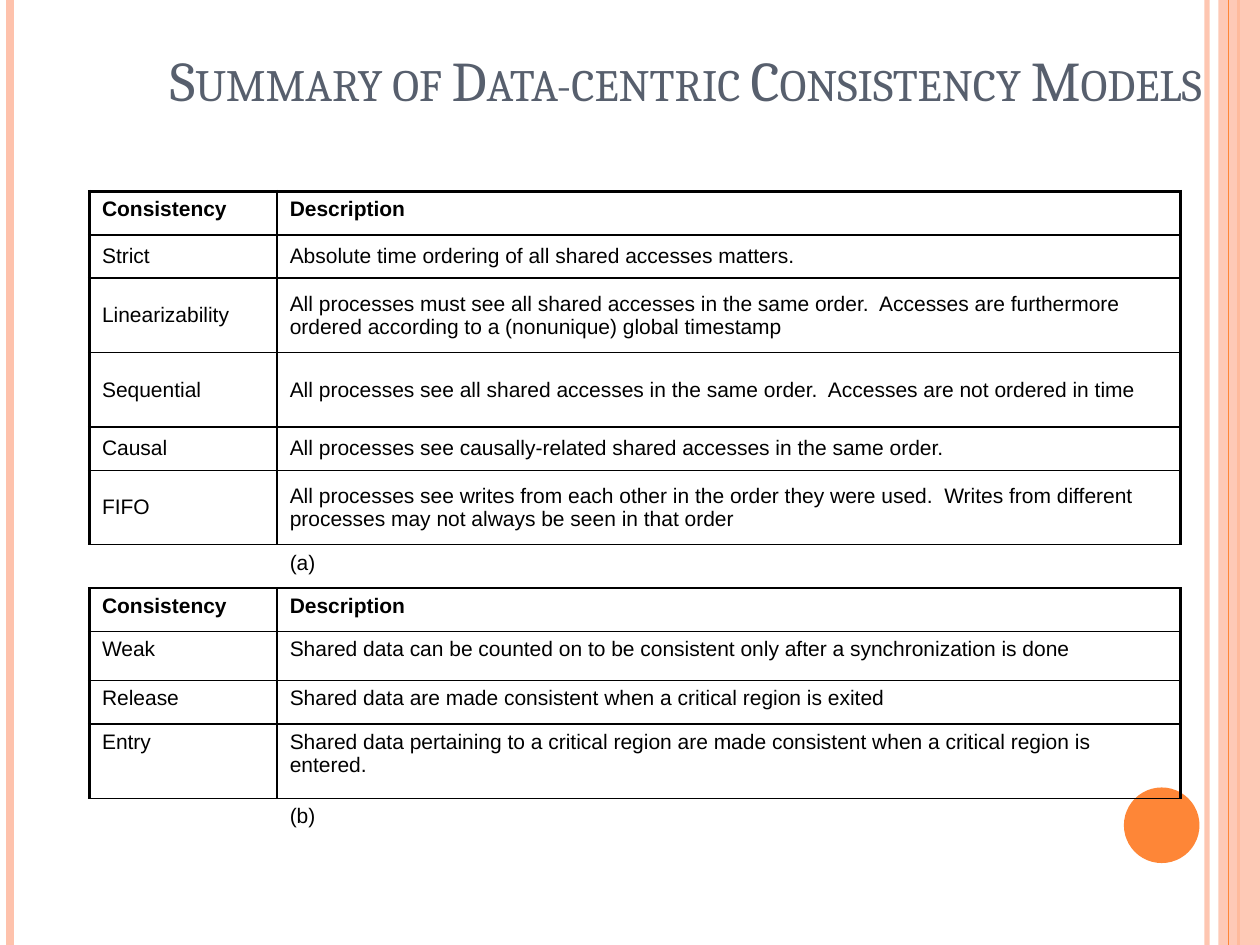
from typing import NamedTuple

from pptx import Presentation
from pptx.dml.color import RGBColor
from pptx.enum.shapes import MSO_CONNECTOR as CONN, MSO_SHAPE as SHAPE
from pptx.enum.text import MSO_ANCHOR as ANCHOR
from pptx.oxml.ns import qn
from pptx.util import Inches, Pt
from lxml.etree import SubElement

COLORS = {"peach": "FEC2AC", "orange": "FE8637", "slate": "575F6D", "ink": "000000"}
THIN, THICK = 1, 2.25
# Row heights in points
SHORT, MEDIUM, TALL = 24.8, 28.1, 42.5
PLAIN_STYLE = "{2D5ABB26-0587-4C30-8999-92F81FD0307C}"


class Stripe(NamedTuple):
    x: float
    color: str
    width: float
    opacity: int = 100


class Block(NamedTuple):
    caption: str
    anchor: ANCHOR
    models: list[tuple[str, str, float]]


class Row(NamedTuple):
    texts: tuple[str, str]
    height: float
    anchor: ANCHOR = ANCHOR.TOP
    bold: bool = False
    caption: bool = False


LEFT_STRIPES = [Stripe(9.58, "peach", 3, 93), Stripe(0.08, "peach", 4.5),
                Stripe(9.83, "orange", 1.5)]
EDGE_STRIPE = Stripe(9.75, "orange", 0.75)

BLOCKS = [
    Block("(a)", ANCHOR.MIDDLE, [
        ("Strict", "Absolute time ordering of all shared accesses matters.", SHORT),
        ("Linearizability", "All processes must see all shared accesses in the same order.  "
         "Accesses are furthermore ordered according to a (nonunique) global timestamp", TALL),
        ("Sequential", "All processes see all shared accesses in the same order.  "
         "Accesses are not ordered in time", TALL),
        ("Causal", "All processes see causally-related shared accesses in the same order.",
         SHORT),
        ("FIFO", "All processes see writes from each other in the order they were used.  "
         "Writes from different processes may not always be seen in that order", TALL),
    ]),
    Block("(b)", ANCHOR.TOP, [
        ("Weak", "Shared data can be counted on to be consistent only after a "
         "synchronization is done", MEDIUM),
        ("Release", "Shared data are made consistent when a critical region is exited", SHORT),
        ("Entry", "Shared data pertaining to a critical region are made consistent when a "
         "critical region is entered.", TALL),
    ]),
]


def rgb(name: str) -> RGBColor:
    return RGBColor.from_string(COLORS[name])


def set_opacity(props, percent: int) -> None:
    for color in props.iter(qn("a:srgbClr")):
        SubElement(color, qn("a:alpha"), val=str(percent * 1000))


def add_stripe(slide, stripe: Stripe) -> None:
    x = Inches(stripe.x)
    line = slide.shapes.add_connector(CONN.STRAIGHT, x, 0, x, prs.slide_height)
    line.line.color.rgb = rgb(stripe.color)
    line.line.width = Pt(stripe.width)
    props = line._element.spPr
    if stripe.opacity < 100:
        set_opacity(props, stripe.opacity)
    SubElement(props, qn("a:effectLst"))


def add_filled(slide, kind: SHAPE, box: tuple, color: str, opacity: int = 100) -> None:
    sp = slide.shapes.add_shape(kind, *map(Inches, box))
    sp.shadow.inherit = False
    sp.fill.solid()
    sp.fill.fore_color.rgb = rgb(color)
    sp.line.fill.background()
    if opacity < 100:
        set_opacity(sp._element.spPr, opacity)


def add_run(p, text: str, font: str, size: float, color: str, bold: bool = False):
    r = p.add_run()
    r.text = text
    r.font.name, r.font.size, r.font.bold = font, Pt(size), bold
    r.font.color.rgb = rgb(color)
    return r


def set_borders(cell, **widths: float) -> None:
    """Draw the given sides (L, R, T, B) in schema order; a zero width hides a side."""
    props = cell._tc.get_or_add_tcPr()
    for side in "LRTB":
        width = widths.get(side, 0)
        line = SubElement(props, qn(f"a:ln{side}"), w=str(Pt(width)))
        if width:
            fill = SubElement(line, qn("a:solidFill"))
            SubElement(fill, qn("a:srgbClr"), val=COLORS["ink"])
        else:
            SubElement(line, qn("a:noFill"))


def table_rows() -> list[Row]:
    rows = []
    for block in BLOCKS:
        rows.append(Row(("Consistency", "Description"), SHORT, bold=True))
        rows += [Row((name, text), height, block.anchor) for name, text, height in block.models]
        rows.append(Row(("", block.caption), SHORT, caption=True))
    return rows


def add_models_table(slide, left: float, top: float, widths: tuple) -> None:
    rows = table_rows()
    frame = slide.shapes.add_table(len(rows), 2, Inches(left), Inches(top),
                                   Inches(sum(widths)), Pt(sum(row.height for row in rows)))
    table = frame.table
    table.first_row = table.horz_banding = False
    table._tbl.tblPr.find(qn("a:tableStyleId")).text = PLAIN_STYLE
    for column, width in zip(table.columns, widths):
        column.width = Inches(width)
    for i, row in enumerate(rows):
        table.rows[i].height = Pt(row.height)
        for j, text in enumerate(row.texts):
            cell = table.cell(i, j)
            cell.vertical_anchor = row.anchor
            p = cell.text_frame.paragraphs[0]
            if text:
                add_run(p, text, "Arial", 12, "ink", row.bold)
            else:
                SubElement(p._p, qn("a:endParaRPr"), sz="1200")
            # Captions stand outside the frame, so they have no sides
            sides = {} if row.caption else {"L": (THICK, THIN)[j], "R": (THIN, THICK)[j]}
            set_borders(cell, **sides, T=THIN if i else THICK,
                        B=0 if i == len(rows) - 1 else THIN)
            cell.fill.background()


prs = Presentation()
prs.slide_width, prs.slide_height = Inches(10), Inches(7.5)
s = prs.slides.add_slide(prs.slide_layouts[6])

# Side decoration
for side_stripe in LEFT_STRIPES:
    add_stripe(s, side_stripe)
add_filled(s, SHAPE.RECTANGLE, (9.67, 0, 0.33, 7.5), "peach", 87)
add_stripe(s, EDGE_STRIPE)
add_filled(s, SHAPE.OVAL, (8.92, 6.25, 0.6, 0.6), "orange")

# Title
title = s.shapes.add_textbox(Inches(1.25), 0, Inches(8.75), Inches(1.25))
tf = title.text_frame
tf.word_wrap = True
tf.vertical_anchor = ANCHOR.MIDDLE
title_run = add_run(tf.paragraphs[0], "Summary of Data-centric Consistency Models",
                    "Cambria", 32, "slate")
title_run.font._element.set("cap", "small")

# Consistency models
add_models_table(s, 0.71, 1.52, (1.49, 7.17))

prs.save("out.pptx")
